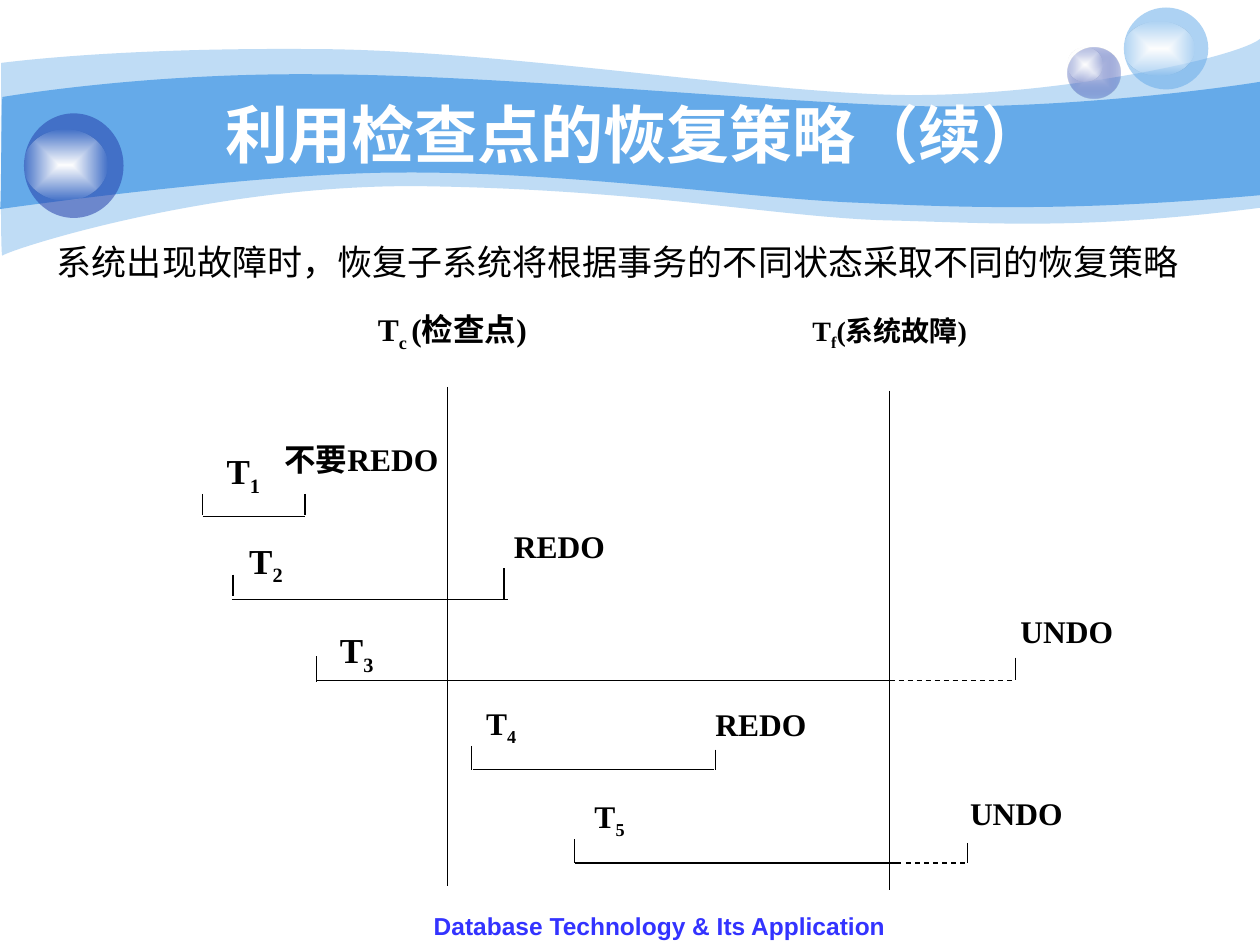
from lxml import etree
from pptx import Presentation
from pptx.dml.color import RGBColor
from pptx.enum.dml import MSO_LINE
from pptx.enum.shapes import MSO_CONNECTOR, MSO_SHAPE
from pptx.enum.text import MSO_ANCHOR, PP_ALIGN
from pptx.oxml import parse_xml
from pptx.oxml.ns import nsdecls, qn
from pptx.util import Inches, Pt

STRAIGHT, OVAL, DASH = MSO_CONNECTOR.STRAIGHT, MSO_SHAPE.OVAL, MSO_LINE.DASH
LEFT, CENTER, JUSTIFY = PP_ALIGN.LEFT, PP_ALIGN.CENTER, PP_ALIGN.JUSTIFY
TOP, MIDDLE = MSO_ANCHOR.TOP, MSO_ANCHOR.MIDDLE
SERIF, SANS = "Times New Roman", "Arial"
BLACK, WHITE, SKY, NAVY = "000000", "FFFFFF", "65AAE9", "233DA9"

# Banner waves: start, segments (2 numbers = line, 6 = curve), opacity in %
WAVES = [
    ((0.01, 0.5), [
        (0.25, 0.47, 1.08, 0.38, 2.47, 0.39), (3.86, 0.39, 5.76, 0.7, 6.99, 0.75),
        (8.22, 0.8, 9.8, 0.47, 10, 0.31), (10, 1.65),
        (8.58, 1.83, 7.88, 1.77, 7.05, 1.75), (6.22, 1.73, 5.15, 1.51, 3.44, 1.48),
        (1.72, 1.44, 0.05, 1.99, 0.02, 2.03), (0, 2.08, 0.01, 0.75, 0.01, 0.5)], 41),
    ((0.02, 0.77), [
        (0.03, 0.77, 1.11, 0.58, 2.49, 0.59), (3.87, 0.59, 5.96, 0.8, 7.18, 0.84),
        (8.41, 0.88, 9.76, 0.69, 10, 0.65), (10, 1.55),
        (8.53, 1.68, 7.66, 1.65, 6.82, 1.61), (5.99, 1.58, 4.48, 1.36, 3.18, 1.37),
        (2.04, 1.37, -0.01, 1.66, 0, 1.66), (0.01, 1.66, 0.01, 0.77, 0.02, 0.77)], 100),
]

# Bubbles: body box, body stops (colour, opacity), highlight box
BUBBLES = [
    ((8.47, 0.38, 0.42, 0.4), [("C7CEE9", 100), (NAVY, 31)], (8.47, 0.38, 0.28, 0.27)),
    ((8.92, 0.06, 0.67, 0.65), [(SKY, 53)], (8.92, 0.17, 0.56, 0.43)),
    ((0.19, 0.9, 0.79, 0.83), [(NAVY, 53)], (0.19, 1.03, 0.66, 0.56)),
]
HIGHLIGHT = [(WHITE, 100), (WHITE, 0)]

# Moments in time: x, top, bottom, label parts (text, is subscript), label box, size
MOMENTS = [
    (3.55, 3.07, 7.03, [("T", 0), ("c ", 1), ("(检查点)", 0)], (2.9, 2.41, 1.56, 0.73), 18),
    (7.06, 3.1, 7.06, [("T", 0), ("f", 1), ("(系统故障)", 0)], (6.35, 2.44, 1.56, 0.73), 16),
]

# Transactions: solid span, dashed span, baseline, ticks (x, top, bottom),
# label box, label size, action, action box
TRANSACTIONS = [
    ((1.61, 2.42), None, 4.1, [(1.61, 3.92, 4.09), (2.42, 3.92, 4.09)],
     (1.7, 3.52, 0.83, 0.73), 20, "不要REDO", (2.16, 3.44, 1.56, 0.74)),
    ((1.84, 4.03), None, 4.76, [(1.85, 4.56, 4.73), (4, 4.51, 4.76)],
     (1.88, 4.23, 0.8, 0.73), 20, "REDO", (3.98, 4.13, 1.24, 0.73)),
    ((2.51, 7.06), (7.06, 8.06), 5.4, [(2.51, 5.21, 5.41), (8.06, 5.22, 5.4)],
     (2.6, 4.94, 1.24, 0.74), 20, "UNDO", (8, 4.81, 1.11, 0.73)),
    ((3.75, 5.67), None, 6.11, [(3.74, 5.92, 6.11), (5.68, 5.95, 6.11)],
     (3.76, 5.54, 1.24, 0.74), 18, "REDO", (5.58, 5.55, 1.24, 0.74)),
    ((4.56, 7.15), (7.19, 7.68), 6.85, [(4.56, 6.66, 6.85), (7.68, 6.69, 6.85)],
     (4.62, 6.28, 1.24, 0.91), 18, "UNDO", (7.6, 6.25, 1.02, 0.73)),
]

presentation = Presentation()
presentation.slide_width, presentation.slide_height = Inches(10), Inches(7.5)
slide = presentation.slides.add_slide(presentation.slide_layouts[6])
shapes = slide.shapes


def color(hex_text):
    return RGBColor.from_string(hex_text)


def fill_shape(shape, stops):
    """One stop gives a flat fill, two give a rectangular gradient from the centre."""
    shape.shadow.inherit = False
    shape.line.fill.background()
    colors = [f'<a:srgbClr val="{tone}"><a:alpha val="{opacity * 1000}"/></a:srgbClr>'
              for tone, opacity in stops]
    if len(colors) == 1:
        xml = f'<a:solidFill {nsdecls("a")}>{colors[0]}</a:solidFill>'
    else:
        xml = (f'<a:gradFill {nsdecls("a")} rotWithShape="1"><a:gsLst>'
               f'<a:gs pos="0">{colors[0]}</a:gs><a:gs pos="100000">{colors[1]}</a:gs>'
               '</a:gsLst><a:path path="rect"><a:fillToRect l="50000" t="50000" '
               'r="50000" b="50000"/></a:path></a:gradFill>')
    shape._element.spPr.find(qn("a:ln")).addprevious(parse_xml(xml))


def add_wave(start, segments, opacity):
    """Lay out every point as a line, then join each group of three into a curve."""
    points = [(Inches(segment[i]), Inches(segment[i + 1]))
              for segment in segments for i in range(0, len(segment), 2)]
    builder = shapes.build_freeform(Inches(start[0]), Inches(start[1]))
    builder.add_line_segments(points, close=True)
    shape = builder.convert_to_shape()
    lines = iter(list(shape._element.spPr.iter(qn("a:lnTo"))))
    for segment in segments:
        group = [next(lines) for _ in range(len(segment) // 2)]
        if len(group) == 3:
            curve = etree.Element(qn("a:cubicBezTo"))
            group[0].addprevious(curve)
            for line in group:
                curve.append(line[0])
                line.getparent().remove(line)
    fill_shape(shape, [(SKY, opacity)])


def add_oval(box, stops):
    fill_shape(shapes.add_shape(OVAL, *map(Inches, box)), stops)


def add_line(x1, y1, x2, y2, width=0.75, dash=None):
    line = shapes.add_connector(STRAIGHT, *map(Inches, (x1, y1, x2, y2)))
    line.line.color.rgb = color(BLACK)
    line.line.width = Pt(width)
    if dash:
        line.line.dash_style = dash
    etree.SubElement(line._element.spPr, qn("a:effectLst"))


def add_text(box, parts, size, font=SERIF, tone=BLACK, bold=True, align=LEFT,
             anchor=TOP, wrap=True):
    frame = shapes.add_textbox(*map(Inches, box)).text_frame
    frame.word_wrap = wrap
    frame.vertical_anchor = anchor
    paragraph = frame.paragraphs[0]
    paragraph.alignment = align
    for text, subscript in parts:
        run = paragraph.add_run()
        run.text = text
        run.font.name, run.font.size, run.font.bold = font, Pt(size), bold
        run.font.color.rgb = color(tone)
        if subscript:
            run._r.get_or_add_rPr().set("baseline", "-25000")


# Banner and title
for wave in WAVES:
    add_wave(*wave)
for body, stops, shine in BUBBLES:
    add_oval(body, stops)
    add_oval(shine, HIGHLIGHT)
add_text((1, 0.75, 8.08, 0.62), [("利用检查点的恢复策略（续）", 0)], 36, SANS, WHITE,
         align=CENTER, anchor=MIDDLE)

# Checkpoint and failure
for x, top, bottom, parts, box, size in MOMENTS:
    add_line(x, top, x, bottom, width=0.5)
    add_text(box, parts, size, align=JUSTIFY)

# Transaction brackets with their labels
for number, (solid, dashed, base, ticks, box, size, action, action_box) in enumerate(
        TRANSACTIONS, start=1):
    add_line(solid[0], base, solid[1], base)
    if dashed:
        add_line(dashed[0], base, dashed[1], base, dash=DASH)
    for x, top, bottom in ticks:
        add_line(x, top, x, bottom)
    add_text(box, [("T", 0), (str(number), 1)], size)
    add_text(action_box, [(action, 0)], 18)

# Introduction and footer
add_text((-0.05, 1.86, 9.91, 0.44),
         [("系统出现故障时，恢复子系统将根据事务的不同状态采取不同的恢复策略", 0)], 20,
         bold=False, align=CENTER, wrap=False)
add_text((3.19, 7.18, 4.09, 0.35), [("Database Technology & Its Application", 0)], 14,
         SANS, "3333FF", align=CENTER)

presentation.save("out.pptx")
